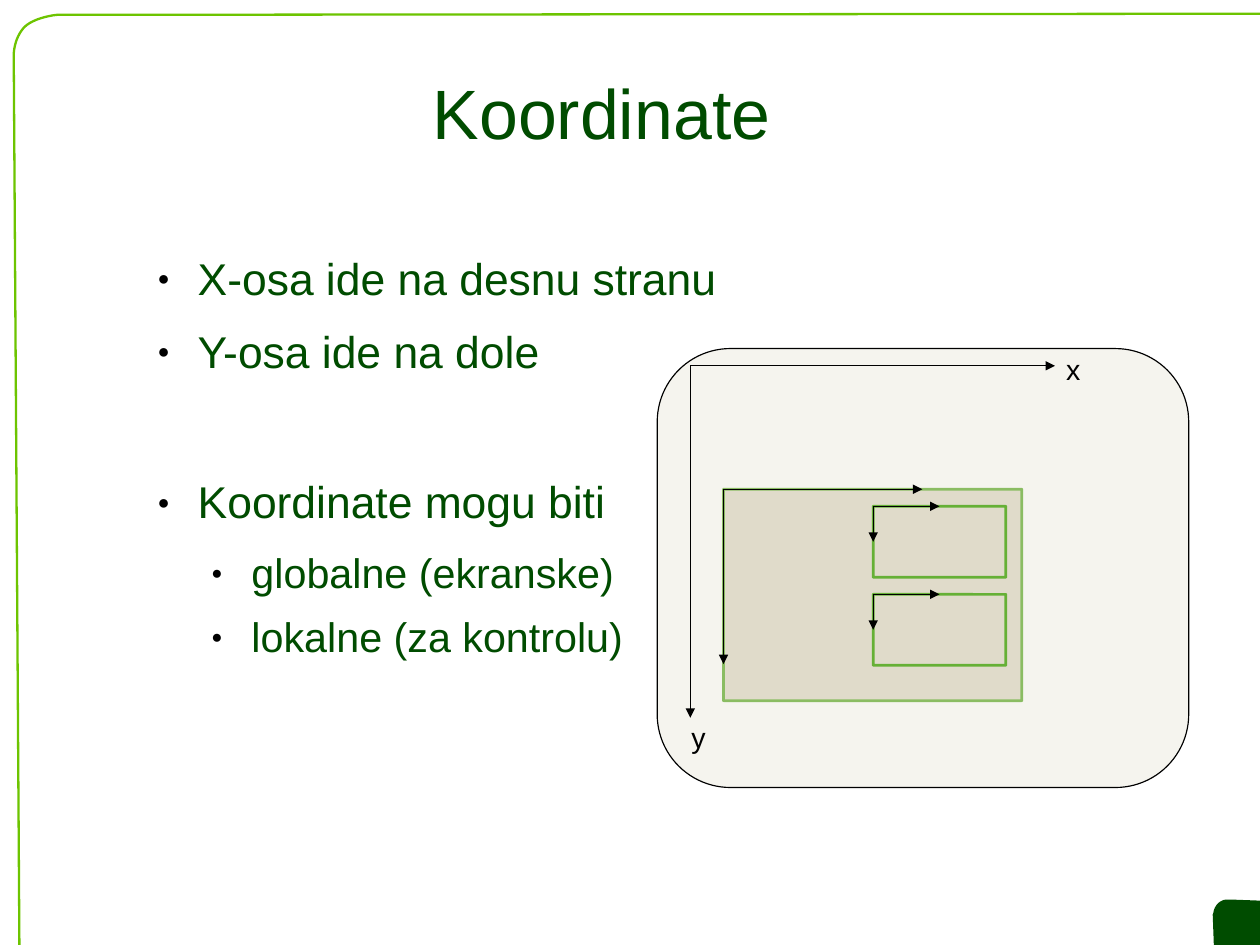
import dataclasses

import pptx
import pptx.dml.color
import pptx.enum.shapes
import pptx.enum.text
import pptx.oxml
import pptx.oxml.ns
import pptx.util

Inches = pptx.util.Inches
Pt = pptx.util.Pt
Shapes = pptx.enum.shapes.MSO_SHAPE
Align = pptx.enum.text.PP_ALIGN
Anchor = pptx.enum.text.MSO_ANCHOR

WIDTH, HEIGHT = 28 / 2.54, 21 / 2.54
DARK, LIME, LEAF, SAND, BLACK = "004C00", "6DC400", "66B036", "E0DBCA", "000000"
NAMESPACE = pptx.oxml.ns.nsdecls("a")


@dataclasses.dataclass
class Panel:
    left: float
    top: float
    width: float
    height: float
    rounding: float
    line: str = LEAF
    line_width: float = 1.7
    alpha: int = 100


@dataclasses.dataclass
class Axes:
    left: float
    top: float
    x_length: float
    y_length: float


@dataclasses.dataclass
class Point:
    text: str
    level: int = 0
    before: float = 0


@dataclasses.dataclass
class AxisName:
    text: str
    left: float
    top: float


SCREEN = Panel(5.75, 3.05, 4.65, 3.84, 0.167, BLACK, 0.75, 30)
WINDOW = Panel(6.33, 4.28, 2.61, 1.85, 0.001)
CONTROLS = [Panel(7.64, top, 1.16, 0.62, 0.003) for top in (4.43, 5.2)]
AXES = [Axes(6.04, 3.2, 3.19, 3.08), Axes(WINDOW.left, WINDOW.top, 1.74, 1.53)]
AXES += [Axes(c.left, c.top, c.width / 2, c.height / 2) for c in CONTROLS]
POINTS = [
    Point("X-osa ide na desnu stranu"),
    Point("Y-osa ide na dole"),
    Point("Koordinate mogu biti", before=49.5),
    Point("globalne (ekranske)", level=1),
    Point("lokalne (za kontrolu)", level=1),
]
AXIS_NAMES = [AxisName("x", 9.23, 3.06), AxisName("y", 5.95, 6.28)]


def color(value: str) -> pptx.dml.color.RGBColor:
    return pptx.dml.color.RGBColor.from_string(value)


def xml(markup: str):
    tag, rest = markup.split(" ", 1)
    return pptx.oxml.parse_xml(f"<a:{tag} {NAMESPACE} {rest}")


def write(paragraph, text: str, *, size: float, ink: str = DARK, align=Align.LEFT,
          before: float = 0, after: float = 0) -> None:
    paragraph.alignment = align
    paragraph.line_spacing = 0.93
    paragraph.space_before = Pt(before)
    paragraph.space_after = Pt(after)
    run = paragraph.add_run()
    run.text = text
    run.font.name = "Arial"
    run.font.size = Pt(size)
    run.font.color.rgb = color(ink)


def set_frame(frame, *, wrap: bool = True, anchor=Anchor.TOP, side: float = 0, edge: float = 0) -> None:
    frame.word_wrap = wrap
    frame.auto_size = pptx.enum.text.MSO_AUTO_SIZE.NONE
    frame.vertical_anchor = anchor
    frame.margin_left = frame.margin_right = Inches(side)
    frame.margin_top = frame.margin_bottom = Inches(edge)


def curve(start, first, second, end, steps: int = 12) -> list:
    return [
        tuple((1 - t) ** 3 * a + 3 * (1 - t) ** 2 * t * b + 3 * (1 - t) * t ** 2 * c + t ** 3 * d
              for a, b, c, d in zip(start, first, second, end))
        for t in (step / steps for step in range(steps + 1))
    ]


def draw_outline(slide, points: list, closed: bool):
    corners = [(Inches(x), Inches(y)) for x, y in points]
    builder = slide.shapes.build_freeform(*corners[0])
    builder.add_line_segments(corners[1:], close=closed)
    outline = builder.convert_to_shape()
    outline.shadow.inherit = False
    return outline


def draw_decor(slide) -> None:
    border = draw_outline(slide, [
        (WIDTH, 0.12),
        *curve((0.5, 0.13), (0.49, 0.13), (0.3, 0.15), (0.21, 0.24)),
        *curve((0.21, 0.24), (0.12, 0.34), (0.12, 0.48), (0.12, 0.48)),
        (0.17, HEIGHT),
    ], False)
    border.fill.background()
    border.line.color.rgb = color(LIME)
    border.line.width = Pt(1.45)
    corner = draw_outline(slide, [
        (10.62, HEIGHT),
        *curve((10.61, 8), (10.62, 7.99), (10.61, 7.96), (10.65, 7.91)),
        *curve((10.65, 7.91), (10.69, 7.87), (10.72, 7.87), (10.76, 7.87)),
        (WIDTH, 7.88), (WIDTH, HEIGHT),
    ], True)
    corner.fill.solid()
    corner.fill.fore_color.rgb = color(DARK)
    corner.line.fill.background()


def draw_panel(slide, panel: Panel) -> None:
    box = slide.shapes.add_shape(Shapes.ROUNDED_RECTANGLE, Inches(panel.left), Inches(panel.top),
                                 Inches(panel.width), Inches(panel.height))
    box.adjustments[0] = panel.rounding
    box.shadow.inherit = False
    box.fill.solid()
    box.fill.fore_color.rgb = color(SAND)
    box.line.color.rgb = color(panel.line)
    box.line.width = Pt(panel.line_width)
    if panel.alpha < 100:
        shade = box.fill._xPr.find(".//" + pptx.oxml.ns.qn("a:srgbClr"))
        shade.append(xml(f'alpha val="{panel.alpha * 1000}"/>'))


def draw_axes(slide, axes: Axes) -> None:
    for across, down in ((axes.x_length, 0), (0, axes.y_length)):
        arrow = slide.shapes.add_connector(
            pptx.enum.shapes.MSO_CONNECTOR.STRAIGHT, Inches(axes.left), Inches(axes.top),
            Inches(axes.left + across), Inches(axes.top + down))
        arrow.line.color.rgb = color(BLACK)
        arrow.line.width = Pt(0.75)
        arrow.line._get_or_add_ln().append(xml('tailEnd type="triangle"/>'))
        arrow._element.spPr.append(xml("effectLst />"))


def write_points(slide, points: list) -> None:
    body = slide.shapes.add_textbox(Inches(1.26), Inches(2.24), Inches(9.21), Inches(5.09)).text_frame
    set_frame(body)
    for index, point in enumerate(points):
        paragraph = body.add_paragraph() if index else body.paragraphs[0]
        paragraph.level = point.level
        properties = paragraph._p.get_or_add_pPr()
        properties.set("marL", str(Inches(0.47 * (point.level + 1))))
        properties.set("indent", str(Inches(-0.35)))
        for markup in (f'buClr ><a:srgbClr val="{BLACK}"/></a:buClr>', 'buSzPct val="45000"/>',
                       'buFont typeface="Arial"/>', 'buChar char="●"/>'):
            properties.append(xml(markup))
        write(paragraph, point.text, size=28 - 2 * point.level, before=point.before,
              after=11.4 if point.level else 14.3)


def main() -> None:
    deck = pptx.Presentation()
    deck.slide_width, deck.slide_height = Inches(WIDTH), Inches(HEIGHT)
    slide = deck.slides.add_slide(deck.slide_layouts[5])
    draw_decor(slide)
    title = slide.shapes.title
    title.left, title.top, title.width, title.height = map(Inches, (1.68, 0.33, 7.17, 1.38))
    set_frame(title.text_frame, anchor=Anchor.MIDDLE)
    write(title.text_frame.paragraphs[0], "Koordinate", size=44, align=Align.CENTER)
    write_points(slide, POINTS)
    for panel in (WINDOW, SCREEN, *CONTROLS):
        draw_panel(slide, panel)
    for axes in AXES:
        draw_axes(slide, axes)
    for name in AXIS_NAMES:
        label = slide.shapes.add_textbox(Inches(name.left), Inches(name.top), Inches(0.32), Inches(0.4))
        set_frame(label.text_frame, wrap=False, side=0.1, edge=0.05)
        write(label.text_frame.paragraphs[0], name.text, size=18, ink=BLACK)
    deck.save("out.pptx")


if __name__ == "__main__":
    main()
